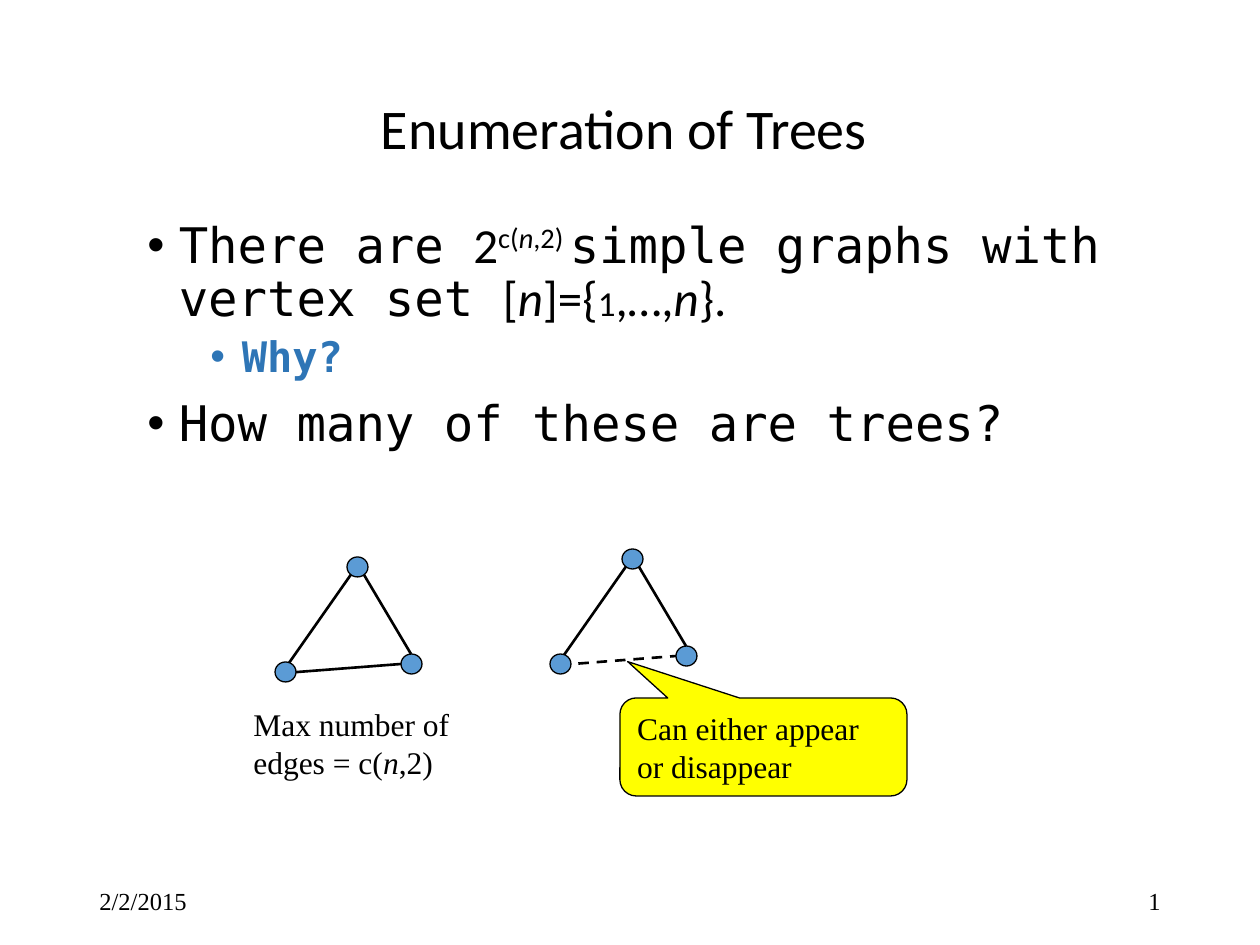
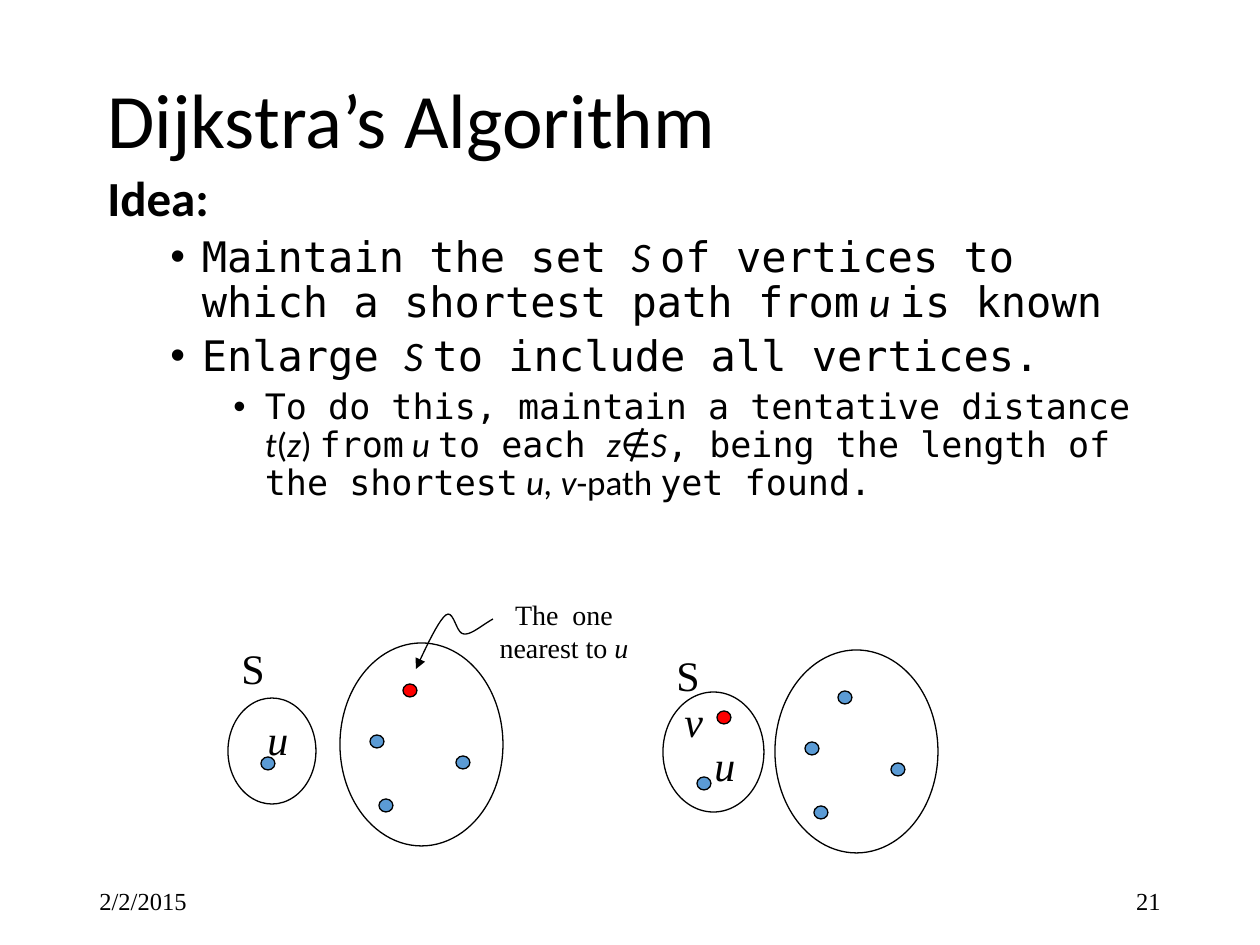
from dataclasses import dataclass

import pptx
import pptx.dml.color
import pptx.enum.dml
import pptx.enum.shapes
import pptx.enum.text
import pptx.oxml
import pptx.oxml.ns
import pptx.util
from lxml import etree

SCALE = 914400 / 126
SHAPE = pptx.enum.shapes.MSO_SHAPE
ALIGN = pptx.enum.text.PP_ALIGN
ANCHOR = pptx.enum.text.MSO_ANCHOR


@dataclass(frozen=True)
class Theme:
    ink: str = "000000"
    paper: str = "FFFFFF"
    vertex: str = "5B9BD5"
    chosen: str = "FF0000"
    question: str = "2E75B6"
    callout: str = "FFFF00"
    sans: str = "Calibri"
    mono: str = "DejaVu Sans Mono"
    serif: str = "Times New Roman"
    title: int = 44
    small_title: int = 32
    levels: tuple = (28, 24, 20)
    label: int = 24
    caption: int = 18
    note: int = 16
    footer: int = 14
    thin: float = 0.75
    edge: float = 1.5


T = Theme()
SANS = {"font": T.sans}
ITALIC = {"font": T.sans, "italic": True}
SUPER = {"font": T.sans, "base": 30}
SUPER_ITALIC = {**SUPER, "italic": True}


def px(n):
    return pptx.util.Emu(round(n * SCALE))


def rgb(color):
    return pptx.dml.color.RGBColor.from_string(color)


def add_run(p, text, font=T.serif, size=T.label, color=T.ink, bold=False, italic=False, base=0):
    r = p.add_run()
    r.text = text
    r.font.name = font
    r.font.size = pptx.util.Pt(size)
    r.font.color.rgb = rgb(color)
    r.font.bold = bold
    r.font.italic = italic
    if base:
        r.font._element.set("baseline", str(base * 1000))


def add_runs(p, runs, align=ALIGN.LEFT, spacing=None, **fmt):
    p.alignment = align
    p.line_spacing = spacing
    for text, change in runs:
        add_run(p, text, **{**fmt, **change})


def add_text(s, box, text, anchor=ANCHOR.TOP, **fmt):
    sp = s.shapes.add_textbox(*map(px, box))
    tf = sp.text_frame
    tf.word_wrap = True
    tf.vertical_anchor = anchor
    runs = [(text, {})] if isinstance(text, str) else text
    add_runs(tf.paragraphs[0], runs, **fmt)
    return sp


def set_level(p, level, bullet):
    pPr = p._p.get_or_add_pPr()
    pPr.set("marL", str(px(31.5 + 63 * level)))
    pPr.set("indent", str(-px(31.5)))
    p.space_before = pptx.util.Pt(5 if level else 10)
    if bullet:
        etree.SubElement(pPr, pptx.oxml.ns.qn("a:buFont")).set("typeface", "Arial")
        etree.SubElement(pPr, pptx.oxml.ns.qn("a:buChar")).set("char", "•")


def add_body(s, box, items):
    tf = s.shapes.add_textbox(*map(px, box)).text_frame
    tf.word_wrap = True
    for i, (level, bullet, runs) in enumerate(items):
        p = tf.add_paragraph() if i else tf.paragraphs[0]
        add_runs(p, runs, spacing=0.9, font=T.mono, size=T.levels[level])
        set_level(p, level, bullet)


def add_outlined(s, kind, box, fill=None):
    sp = s.shapes.add_shape(kind, *map(px, box))
    sp.shadow.inherit = False
    if fill:
        sp.fill.solid()
        sp.fill.fore_color.rgb = rgb(fill)
    else:
        sp.fill.background()
    sp.line.color.rgb = rgb(T.ink)
    sp.line.width = pptx.util.Pt(T.thin)
    return sp


def add_edge(s, x1, y1, x2, y2, dashed=False):
    cx = s.shapes.add_connector(
        pptx.enum.shapes.MSO_CONNECTOR.STRAIGHT, px(x1), px(y1), px(x2), px(y2))
    cx.line.color.rgb = rgb(T.ink)
    cx.line.width = pptx.util.Pt(T.edge)
    if dashed:
        cx.line.dash_style = pptx.enum.dml.MSO_LINE.DASH
    etree.SubElement(cx._element.spPr, pptx.oxml.ns.qn("a:effectLst"))


def add_dots(s, x, y, points, size, fill=T.vertex):
    for dx, dy in points:
        add_outlined(s, SHAPE.OVAL, (x + dx, y + dy, *size), fill)


def add_footer(s, number):
    for x, text, align in ((87, "2/2/2015", ALIGN.LEFT), (890, number, ALIGN.RIGHT)):
        add_text(s, (x, 876, 283, 50), text, ANCHOR.MIDDLE, align=align, size=T.footer)


def add_title(s, box, text, **fmt):
    add_text(s, box, text, ANCHOR.MIDDLE, font=T.sans, spacing=0.9, **fmt)


def new_slide(prs, number):
    s = prs.slides.add_slide(prs.slide_layouts[6])
    s.background.fill.solid()
    s.background.fill.fore_color.rgb = rgb(T.paper)
    add_footer(s, number)
    return s


def draw_triangle(s, x, y, open_base=False):
    add_edge(s, x + 82, y + 9, x + 7, y + 116)
    add_edge(s, x + 82, y + 6, x + 136, y + 97)
    add_edge(s, x + 10, y + 116, x + 126, y + 107, open_base)
    add_dots(s, x, y, ((72, 0), (0, 105), (126, 97)), (21, 20))


def draw_callout(s, box, text):
    sp = add_outlined(s, SHAPE.ROUNDED_RECTANGULAR_CALLOUT, box, T.callout)
    for i, value in enumerate((-0.473, -0.871, 0.167)):
        sp.adjustments[i] = value
    tf = sp.text_frame
    tf.word_wrap = True
    tf.vertical_anchor = ANCHOR.TOP
    add_runs(tf.paragraphs[0], [(text, {})], size=T.caption)


def draw_known_set(s, x, y, circle, u_label, u_dot):
    add_outlined(s, SHAPE.OVAL, (x, y + circle[0], *circle[1:]))
    add_outlined(s, SHAPE.OVAL, (x + 112, y + 7, 163, 203))
    add_text(s, (x + u_label[0], y + u_label[1], 63, 64), "u", italic=True)
    add_text(s, (x + 1, y, 68, 64), "S")
    add_dots(s, x, y, (u_dot, (142, 99), (151, 163), (228, 120)), (14, 13))


def draw_nearest(s, x, y, fill):
    add_dots(s, x, y, ((175, 48),), (14, 13), fill)


def bezier(p0, p1, p2, p3, steps=10):
    for k in range(1, steps + 1):
        t = k / steps
        w = (1 - t) ** 3, 3 * t * (1 - t) ** 2, 3 * t * t * (1 - t), t ** 3
        yield tuple(sum(a * p[i] for a, p in zip(w, (p0, p1, p2, p3))) for i in (0, 1))


def draw_pointer(s, x, y):
    knots = ((0, 60), (11, 36), (23, 11), (30, 6), (38, 0), (40, 25), (48, 25),
             (55, 26), (65, 17), (77, 10))
    points = [knots[0]]
    for i in range(0, len(knots) - 1, 3):
        points += bezier(*knots[i:i + 4])
    points = [(px(x + dx), px(y + dy)) for dx, dy in points]
    fb = s.shapes.build_freeform(*points[0])
    fb.add_line_segments(points[1:], close=False)
    sp = fb.convert_to_shape()
    sp.shadow.inherit = False
    sp.fill.background()
    sp.line.color.rgb = rgb(T.ink)
    sp.line.width = pptx.util.Pt(T.thin)
    etree.SubElement(sp.line._get_or_add_ln(), pptx.oxml.ns.qn("a:headEnd")).set("type", "triangle")


def build_trees(prs):
    s = new_slide(prs, "1")
    add_title(s, (95, 84, 1071, 95), "Enumeration of Trees ", size=T.small_title, align=ALIGN.CENTER)
    add_body(s, (135, 215, 1021, 281), (
        (0, True, (("There are ", {}), ("2", SANS), ("c(", SUPER), ("n", SUPER_ITALIC),
                   (",2) ", SUPER), ("simple graphs with vertex set ", {}), ("[", SANS),
                   ("n", ITALIC), ("]={", SANS), ("1", {**SANS, "size": T.levels[2]}),
                   (",…,", SANS), ("n", ITALIC), ("}.", SANS))),
        (1, True, (("Why?", {"color": T.question, "bold": True}),)),
        (0, True, (("How many of these are trees?", {}),)),
    ))
    draw_triangle(s, 275, 557)
    draw_triangle(s, 550, 549, open_base=True)
    add_text(s, (241, 699, 275, 90),
             (("Max number of edges = c(", {}), ("n", {"italic": True}), (",2)", {})),
             size=T.caption)
    draw_callout(s, (620, 698, 287, 98), "Can either appear or disappear")


def build_dijkstra(prs):
    s = new_slide(prs, "21")
    add_title(s, (95, 64, 1071, 120), "Dijkstra’s Algorithm", size=T.title)
    add_body(s, (95, 168, 1071, 415), (
        (0, False, (("Idea:", {**SANS, "bold": True}),)),
        (1, True, (("Maintain the set ", {}), ("S ", ITALIC),
                   ("of vertices to which a shortest path from", {}), (" u ", ITALIC),
                   ("is known", {}))),
        (1, True, (("Enlarge ", {}), ("S ", ITALIC), ("to include all vertices.", {}))),
        (2, True, (("To do this, maintain a tentative distance ", {}), ("t", ITALIC),
                   ("(", SANS), ("z", ITALIC), (") ", SANS), ("from", {}), (" u ", ITALIC),
                   ("to each ", {}), ("z∉S", ITALIC),
                   (", being the length of the shortest", {}), (" u, v", ITALIC),
                   ("-path ", SANS), ("yet found.", {}))),
    ))
    draw_known_set(s, 228, 636, (62, 88, 106), (27, 71), (33, 121))
    draw_nearest(s, 228, 636, T.chosen)
    draw_known_set(s, 663, 643, (49, 101, 120), (39, 90), (34, 134))
    draw_nearest(s, 663, 643, T.vertex)
    add_text(s, (486, 591, 156, 81), (("The  one nearest to ", {}), ("u", {"italic": True})),
             size=T.note, align=ALIGN.CENTER)
    draw_pointer(s, 416, 609)
    add_text(s, (672, 689, 63, 64), "v", italic=True)
    add_dots(s, 663, 643, ((54, 68),), (14, 13), T.chosen)


def main():
    prs = pptx.Presentation()
    prs.slide_width, prs.slide_height = px(1260), px(945)
    build_trees(prs)
    build_dijkstra(prs)
    prs.save("out.pptx")


if __name__ == "__main__":
    main()
